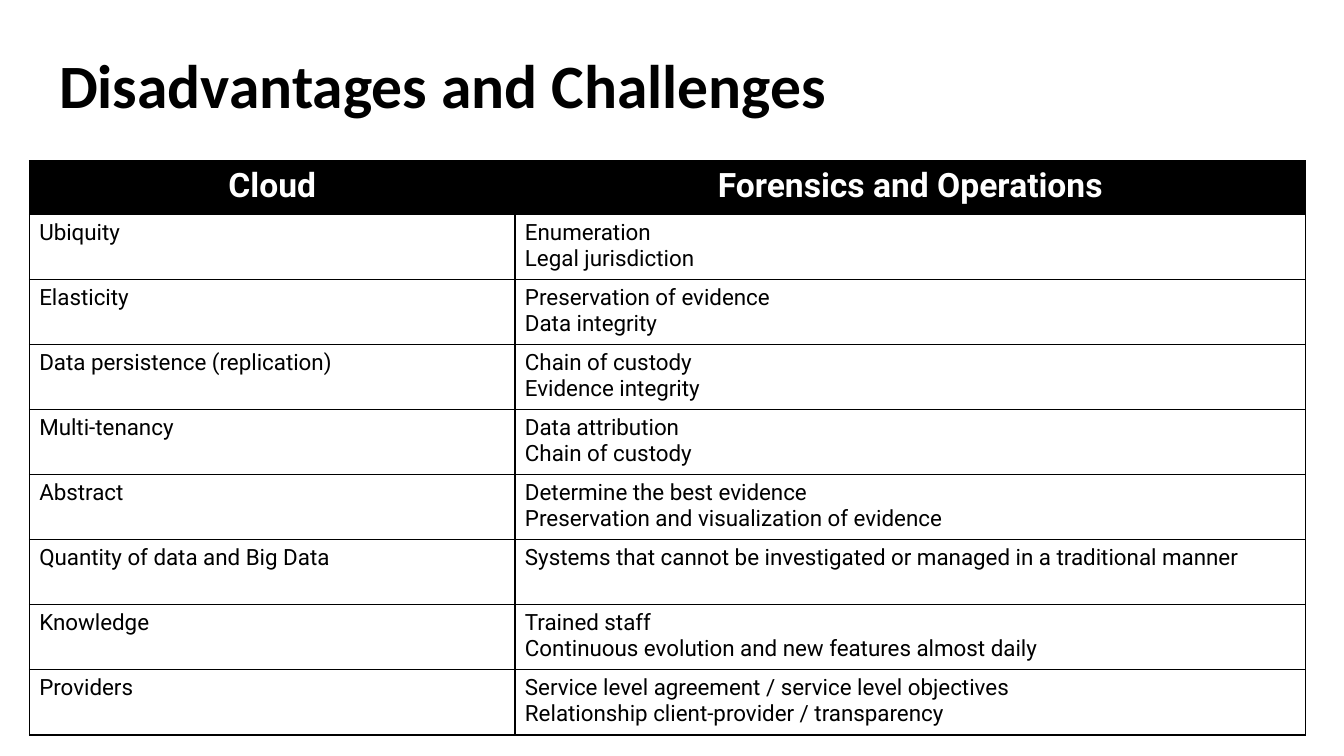
"""Build a slide with a table of cloud disadvantages and forensic challenges."""
from dataclasses import dataclass

from lxml.etree import SubElement
from pptx import Presentation
from pptx.dml.color import RGBColor
from pptx.enum.text import MSO_ANCHOR, PP_ALIGN
from pptx.oxml.ns import qn
from pptx.util import Cm, Pt

TITLE = "Disadvantages and Challenges"
HEADINGS = ("Cloud", "Forensics and Operations")
CHALLENGES = [
    ("Ubiquity", ["Enumeration", "Legal jurisdiction"]),
    ("Elasticity", ["Preservation of evidence", "Data integrity"]),
    ("Data persistence (replication)", ["Chain of custody", "Evidence integrity"]),
    ("Multi-tenancy", ["Data attribution", "Chain of custody"]),
    ("Abstract", ["Determine the best evidence",
                  "Preservation and visualization of evidence"]),
    ("Quantity of data and Big Data",
     ["Systems that cannot be investigated or managed in a traditional manner"]),
    ("Knowledge", ["Trained staff",
                   "Continuous evolution and new features almost daily"]),
    ("Providers", ["Service level agreement / service level objectives",
                   "Relationship client-provider / transparency"]),
]


@dataclass(frozen=True)
class Theme:
    black: RGBColor = RGBColor(0, 0, 0)
    white: RGBColor = RGBColor(255, 255, 255)
    title_font: str = "Calibri"
    table_font: str = "Roboto"
    title_size: Pt = Pt(44)
    heading_size: Pt = Pt(24)
    body_size: Pt = Pt(16)
    outer_line: Pt = Pt(0.75)
    inner_line: Pt = Pt(1)


THEME = Theme()
COLUMN_WIDTHS = (Cm(12.24), Cm(19.92))
HEADING_HEIGHT, ROW_HEIGHT = Cm(1.35), Cm(1.64)


def write(paragraph, text, font, size, color, bold):
    run = paragraph.add_run()
    run.text = text
    run.font.name, run.font.size = font, size
    run.font.color.rgb, run.font.bold = color, bold


def add_borders(cell, widths):
    properties = cell._tc.get_or_add_tcPr()
    for index, (side, width) in enumerate(zip("LRTB", widths)):
        line = SubElement(properties, qn(f"a:ln{side}"), w=str(int(width)))
        fill = SubElement(line, qn("a:solidFill"))
        SubElement(fill, qn("a:srgbClr"), val=str(THEME.black))
        properties.insert(index, line)


def fill_cell(cell, lines, heading):
    cell.margin_left = cell.margin_right = Cm(0.25)
    cell.margin_top = cell.margin_bottom = Cm(0.13)
    cell.fill.solid()
    cell.fill.fore_color.rgb = THEME.black if heading else THEME.white
    color = THEME.white if heading else THEME.black
    size = THEME.heading_size if heading else THEME.body_size
    frame = cell.text_frame
    for number, line in enumerate(lines):
        paragraph = frame.add_paragraph() if number else frame.paragraphs[0]
        paragraph.alignment = PP_ALIGN.CENTER if heading else PP_ALIGN.LEFT
        write(paragraph, line, THEME.table_font, size, color, heading)


def add_title(slide):
    frame = slide.shapes.add_textbox(Cm(1.24), Cm(0.4), Cm(29.21), Cm(3.68)).text_frame
    frame.word_wrap = True
    frame.vertical_anchor = MSO_ANCHOR.MIDDLE
    heading = frame.paragraphs[0]
    heading.line_spacing = 0.9
    write(heading, TITLE, THEME.title_font, THEME.title_size, THEME.black, True)


def add_challenges(slide):
    rows = [[[heading] for heading in HEADINGS]]
    rows += [[[cloud], effects] for cloud, effects in CHALLENGES]
    height = HEADING_HEIGHT + ROW_HEIGHT * len(CHALLENGES)
    table = slide.shapes.add_table(len(rows), len(HEADINGS), Cm(0.74), Cm(4.05),
                                   sum(COLUMN_WIDTHS), height).table
    table.horz_banding = False
    for column, width in zip(table.columns, COLUMN_WIDTHS):
        column.width = width
    outer, inner = THEME.outer_line, THEME.inner_line
    for r, row in enumerate(rows):
        table.rows[r].height = ROW_HEIGHT if r else HEADING_HEIGHT
        for c, lines in enumerate(row):
            cell = table.cell(r, c)
            fill_cell(cell, lines, heading=r == 0)
            add_borders(cell, (inner if c else outer, outer if c else inner,
                               inner if r else outer, inner))


def main():
    deck = Presentation()
    deck.slide_width, deck.slide_height = Cm(33.87), Cm(19.05)
    slide = deck.slides.add_slide(deck.slide_layouts[6])
    add_title(slide)
    add_challenges(slide)
    deck.save("out.pptx")


if __name__ == "__main__":
    main()
